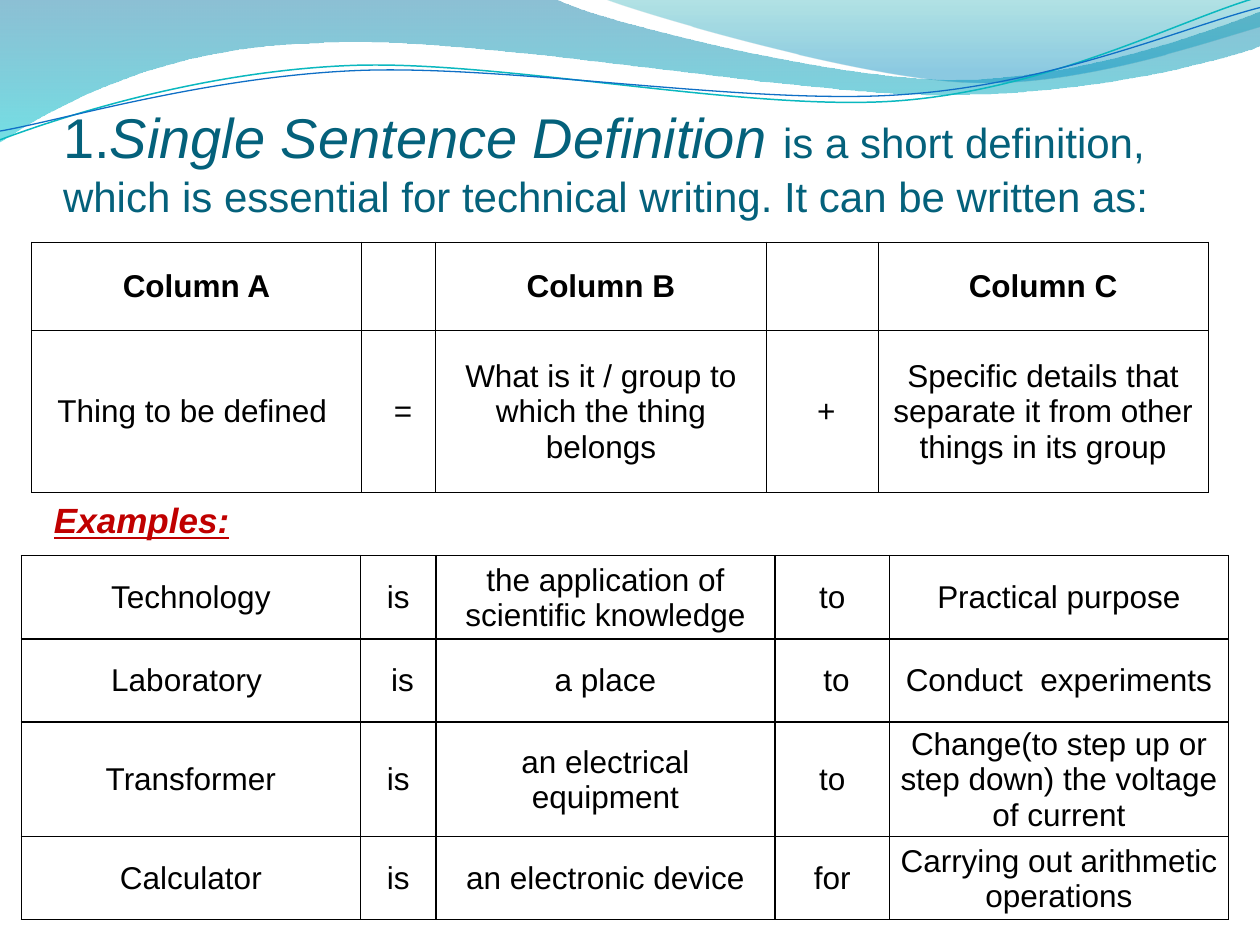
from math import cos, radians, sin

from lxml import etree
from pptx import Presentation
from pptx.dml.color import RGBColor
from pptx.enum.text import MSO_ANCHOR, MSO_AUTO_SIZE, PP_ALIGN
from pptx.oxml.ns import qn
from pptx.util import Inches, Pt

MIDDLE, BOTTOM = MSO_ANCHOR.MIDDLE, MSO_ANCHOR.BOTTOM
LEFT, CENTER = PP_ALIGN.LEFT, PP_ALIGN.CENTER
NO_FIT = MSO_AUTO_SIZE.NONE
TEAL, BLACK, RED = "04617B", "000000", "C00000"


def color(value):
    return RGBColor.from_string(value)


def write(para, text, size, ink, bold=False, italic=False, underline=False):
    span = para.add_run()
    span.text = text
    font = span.font
    font.name, font.size = "Arial", Pt(size)
    font.bold, font.italic, font.underline = bold, italic, underline
    font.color.rgb = color(ink)


deck = Presentation()
deck.slide_width, deck.slide_height = Inches(10), Inches(7.5)
step = deck.slide_width // 1000
page = deck.slides.add_slide(deck.slide_layouts[5])

bands = [
    ([(0, 0), (440, -1), (476, 17, 664, 63, 758, 63), (853, 63, 958, 26, 1000, 9),
      (1001, 36), (983, 44, 870, 76, 746, 75), (622, 75, 382, 28, 257, 34),
      (129, 36, 46, 83, -1, 113), (0, 0)],
     [(0, "0074A1", 45), (1, "00C6CF", 55)]),
    ([(479, -1), (509, 11, 682, 62, 769, 65), (856, 69, 961, 32, 1000, 21),
      (1000, 0), (479, -1)],
     [(0, "00A1A9", 30), (0.8, "008BBF", 45)]),
]
strands = [
    ([(0, 111), (48, 93, 158, 57, 277, 52), (395, 47, 593, 89, 713, 80),
      (833, 71, 938, 15, 998, -2)], "0AB8BF", 0.85, (499, 57.5)),
    ([(0, 104), (47, 96, 164, 61, 283, 56), (403, 51, 597, 84, 717, 75),
      (836, 67, 941, 21, 1000, 6)], "0F6FC6", 0.75, (499.5, 59)),
]
tilt = 2.7
turn_x, turn_y = cos(radians(tilt)), sin(radians(tilt))
curves = [(parts, stops, None, None, None) for parts, stops in bands]
curves += [(parts, None, ink, weight, center) for parts, ink, weight, center in strands]
for parts, stops, ink, weight, center in curves:
    points = [pair for part in parts for pair in zip(part[::2], part[1::2])]
    if center:
        cx, cy = center
        points = [(cx + (x - cx) * turn_x - (y - cy) * turn_y,
                   cy + (x - cx) * turn_y + (y - cy) * turn_x) for x, y in points]
    points = [(round(x * step), round(y * step)) for x, y in points]
    outline = page.shapes.build_freeform(*points[0])
    outline.add_line_segments(points[1:], close=stops is not None)
    wave = outline.convert_to_shape()
    lines = list(wave._element.spPr.iter(qn("a:lnTo")))
    for part in parts[1:]:
        group, lines = lines[:len(part) // 2], lines[len(part) // 2:]
        if len(group) == 3:
            curve = etree.Element(qn("a:cubicBezTo"))
            group[0].addprevious(curve)
            for line in group:
                curve.append(line[0])
                line.getparent().remove(line)
    wave.shadow.inherit = False
    if stops:
        wave.line.fill.background()
        wave.fill.gradient()
        wave.fill.gradient_angle = 270
        for stop, (position, shade, _) in zip(wave.fill.gradient_stops, stops):
            stop.position = position
            stop.color.rgb = color(shade)
        for node, (_, _, opacity) in zip(wave._element.spPr.iter(qn("a:srgbClr")), stops):
            etree.SubElement(node, qn("a:alpha")).set("val", str(opacity * 1000))
    else:
        wave.rotation = 360 - tilt
        wave.fill.background()
        wave.line.color.rgb = color(ink)
        wave.line.width = Pt(weight)

title = page.shapes.title
page.shapes._spTree.append(title._element)
title.left, title.top, title.width, title.height = [n * step for n in (50, 50, 900, 125)]
frame = title.text_frame
frame.auto_size, frame.word_wrap, frame.vertical_anchor = NO_FIT, True, BOTTOM
frame.margin_left = frame.margin_right = frame.margin_bottom = 0
frame.margin_top = 5 * step
para = frame.paragraphs[0]
para.alignment = LEFT
write(para, "1.", 32, TEAL)
write(para, "Single Sentence Definition ", 32, TEAL, italic=True)
write(para, "is a short definition, which is essential for technical writing. "
      "It can be written as:", 24, TEAL)

formula = [
    ["Column A", "", "Column B", "", "Column C"],
    ["Thing to be defined ", " =", "What is it / group to which the thing belongs", " +",
     "Specific details that separate it from other things in its group"],
]
examples = [
    ["Technology", "is", "the application of scientific knowledge", "to", "Practical purpose"],
    ["Laboratory ", " is", "a place", " to", "Conduct  experiments"],
    ["Transformer", "is", "an electrical\n equipment ", "to",
     "Change(to step up or step down) the voltage of current"],
    ["Calculator", "is", "an electronic device", "for", "Carrying out arithmetic operations"],
]
tables = [
    (formula, 25, 192, (262, 59, 262, 89, 262), (70, 129), 0.5, True),
    (examples, 17, 441, (269, 60, 269, 91, 269), (66, 66, 86, 66), 1, False),
]
for words, left, top, widths, heights, weight, headed in tables:
    table = page.shapes.add_table(len(heights), len(widths), left * step, top * step,
                                  sum(widths) * step, sum(heights) * step).table
    table.first_row = headed
    table.horz_banding = False
    for column, width in zip(table.columns, widths):
        column.width = width * step
    for r, height in enumerate(heights):
        table.rows[r].height = height * step
        for c, text in enumerate(words[r]):
            cell = table.cell(r, c)
            cell.vertical_anchor = MIDDLE
            cell.margin_left = cell.margin_right = cell.margin_top = step
            cell.margin_bottom = 0
            for i, line in enumerate(text.split("\n")):
                frame = cell.text_frame
                para = frame.add_paragraph() if i else frame.paragraphs[0]
                para.alignment = CENTER
                if line:
                    write(para, line, 18, BLACK, bold=headed and r == 0)
            properties = cell._tc.get_or_add_tcPr()
            for side in ("a:lnL", "a:lnR", "a:lnT", "a:lnB"):
                border = etree.SubElement(properties, qn(side), w=str(Pt(weight)))
                solid = etree.SubElement(border, qn("a:solidFill"))
                etree.SubElement(solid, qn("a:srgbClr"), val=BLACK)
            cell.fill.background()
    if headed:
        box = page.shapes.add_textbox(33 * step, 391 * step, 942 * step, 135 * step)
        box.text_frame.word_wrap = True
        write(box.text_frame.paragraphs[0], "Examples:", 20, RED, True, True, True)

deck.save("out.pptx")
